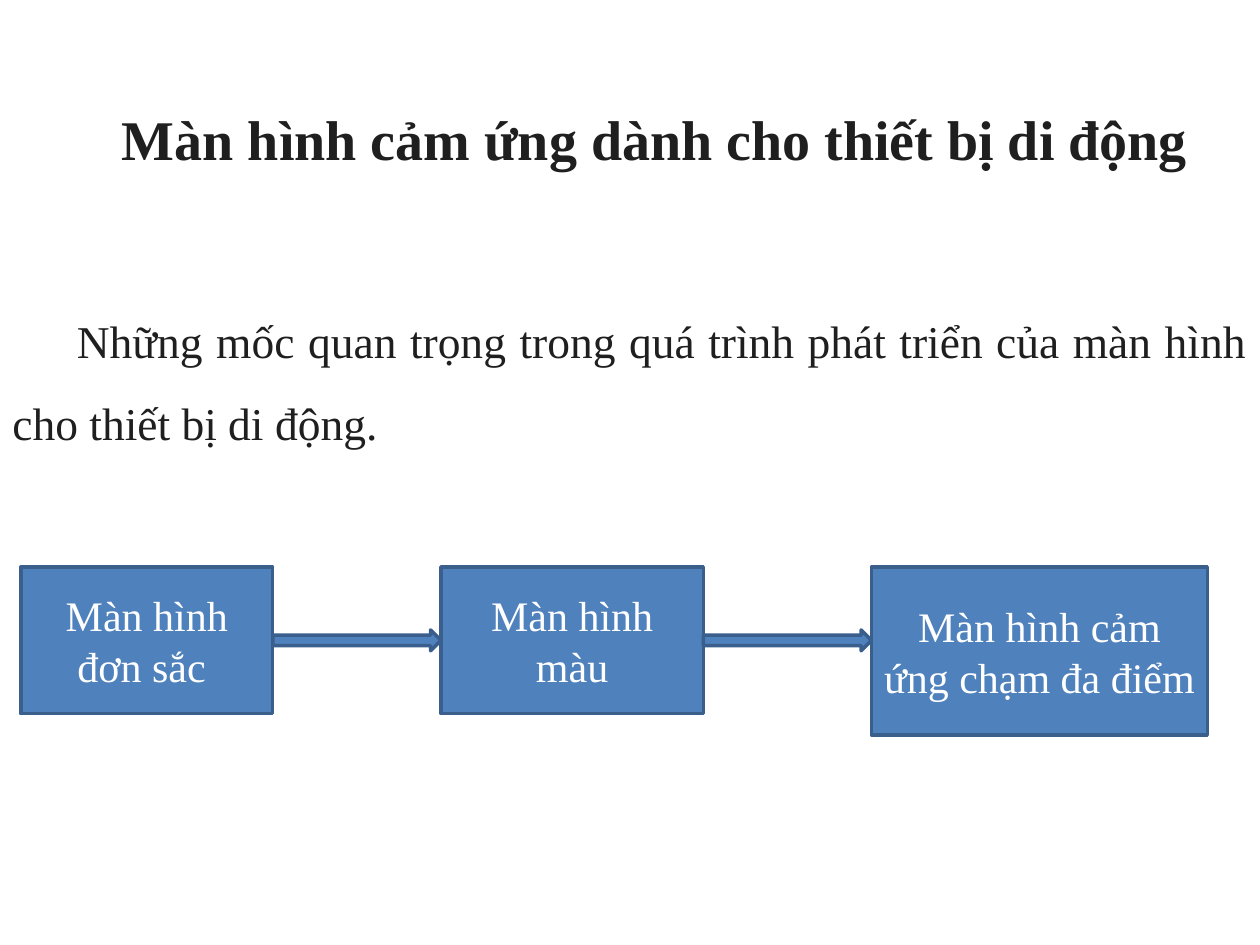
import pptx
import pptx.util
import pptx.dml.color
import pptx.enum.shapes
import pptx.enum.text

Cm, Pt = pptx.util.Cm, pptx.util.Pt
RGB = pptx.dml.color.RGBColor
SHAPE = pptx.enum.shapes.MSO_SHAPE
ALIGN = pptx.enum.text.PP_ALIGN
ANCHOR = pptx.enum.text.MSO_ANCHOR
FONT = "Times New Roman"
COLORS = {"text": "1F1F1F", "fill": "4F81BD", "line": "3A5F8C", "label": "FFFFFF"}

prs = pptx.Presentation()
prs.slide_width, prs.slide_height = Cm(25.4), Cm(19.05)
s = prs.slides.add_slide(prs.slide_layouts[6])


def write(tf, text, size, color, align):
    tf.word_wrap = True
    p = tf.paragraphs[0]
    p.text = text
    p.alignment = align
    p.font.name = FONT
    p.font.size = Pt(size)
    p.font.color.rgb = RGB.from_string(COLORS[color])
    return p


def add_block(kind, left, top, width, height):
    sp = s.shapes.add_shape(kind, Cm(left), Cm(top), Cm(width), Cm(height))
    sp.shadow.inherit = False
    sp.fill.solid()
    sp.fill.fore_color.rgb = RGB.from_string(COLORS["fill"])
    sp.line.color.rgb = RGB.from_string(COLORS["line"])
    sp.line.width = Pt(2)
    return sp


# Title and introduction, each with an indented first line
paragraphs = [
    ("Màn hình cảm ứng dành cho thiết bị di động ", 1.99, 1.6, 32, True, ALIGN.CENTER, 1),
    ("Những mốc quan trọng trong quá trình phát triển của màn hình cho thiết bị "
     "di động. ", 5.63, 3.2, 26, False, ALIGN.JUSTIFY, 1.5),
]
for text, top, height, size, bold, align, spacing in paragraphs:
    sp = s.shapes.add_textbox(0, Cm(top), prs.slide_width, Cm(height))
    p = write(sp.text_frame, text, size, "text", align)
    p.font.bold = bold
    p.line_spacing = spacing
    p._p.get_or_add_pPr().set("indent", str(Cm(1.3)))

# Screen generations: text, left, width, height
stages = [
    ("Màn hình đơn sắc ", 0.42, 5.08, 2.96),
    ("Màn hình màu", 8.89, 5.29, 2.96),
    ("Màn hình cảm ứng chạm đa điểm ", 17.57, 6.77, 3.39),
]
for text, left, width, height in stages:
    sp = add_block(SHAPE.RECTANGLE, left, 11.43, width, height)
    sp.text_frame.vertical_anchor = ANCHOR.MIDDLE
    write(sp.text_frame, text, 24, "label", ALIGN.CENTER)

# Arrows fill the gaps between neighbouring stages
for stage, following in zip(stages, stages[1:]):
    start = stage[1] + stage[2]
    add_block(SHAPE.RIGHT_ARROW, start, 12.7, following[1] - start, 0.42)

prs.save("out.pptx")
